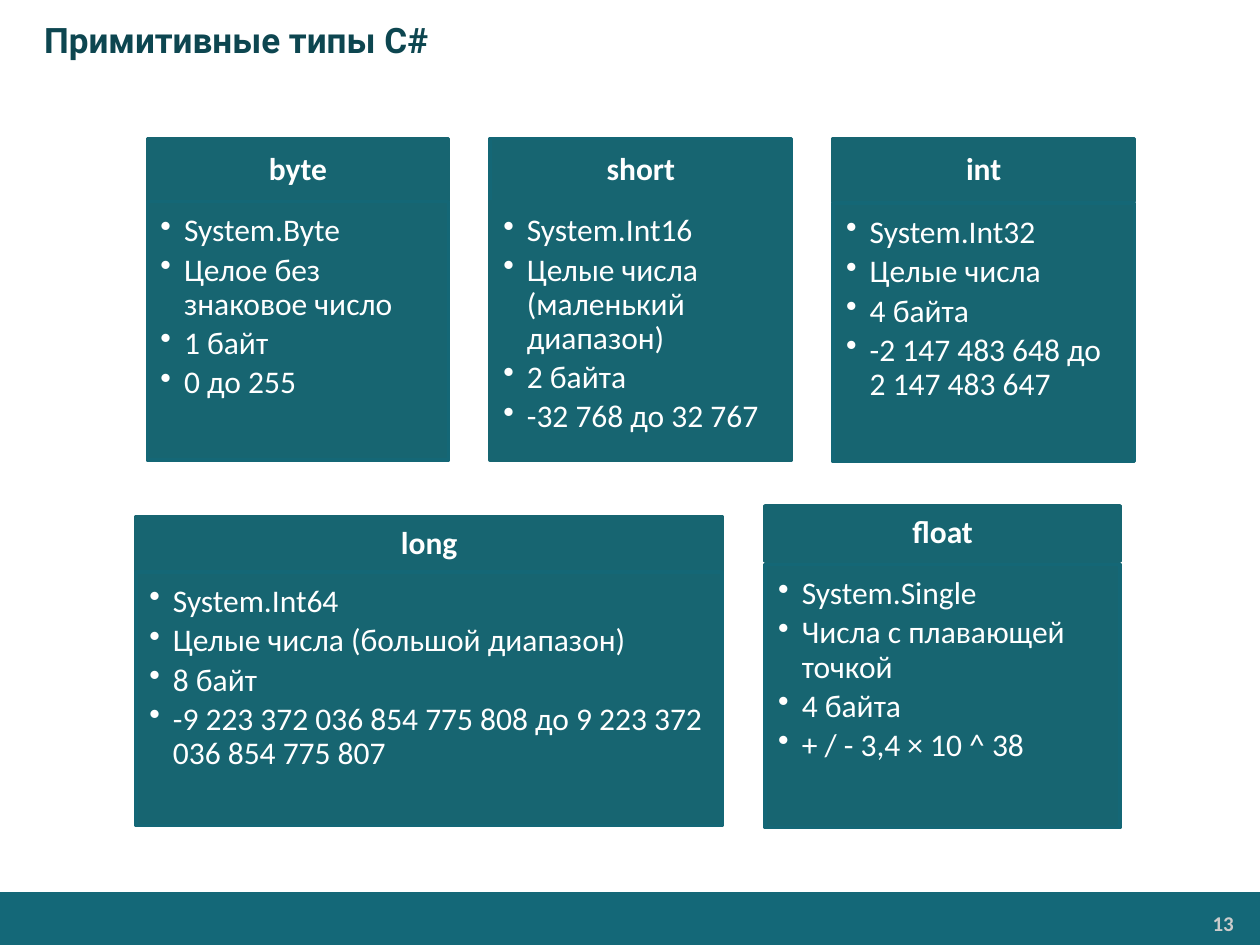
from lxml import etree
from pptx import Presentation
from pptx.dml.color import RGBColor
from pptx.enum.shapes import MSO_SHAPE
from pptx.enum.text import MSO_ANCHOR, PP_ALIGN
from pptx.oxml.ns import qn
from pptx.util import Pt

RECT = MSO_SHAPE.RECTANGLE
TOP, MIDDLE = MSO_ANCHOR.TOP, MSO_ANCHOR.MIDDLE
LEFT, CENTER, RIGHT = PP_ALIGN.LEFT, PP_ALIGN.CENTER, PP_ALIGN.RIGHT

WHITE = RGBColor(0xFF, 0xFF, 0xFF)
GREY = RGBColor(0xCC, 0xCC, 0xCC)
INK = RGBColor(0x0D, 0x46, 0x50)
TEAL = RGBColor(0x17, 0x65, 0x71)
EDGE = RGBColor(0x14, 0x67, 0x76)
BAR = RGBColor(0x14, 0x68, 0x78)

TITLE = "Примитивные типы C#"
NUMBER = "13"
TYPES = [
    ("byte", ["System.Byte", "Целое без знаковое число", "1 байт", "0 до 255"]),
    ("short", ["System.Int16", "Целые числа (маленький диапазон)",
               "2 байта", "-32 768 до 32 767"]),
    ("int", ["System.Int32", "Целые числа", "4 байта",
             "-2 147 483 648 до 2 147 483 647"]),
    ("long", ["System.Int64", "Целые числа (большой диапазон)", "8 байт",
              "-9 223 372 036 854 775 808 до 9 223 372 036 854 775 807"]),
    ("float", ["System.Single", "Числа с плавающей точкой", "4 байта",
               "+ / - 3,4 × 10 ^ 38"]),
]

COL, STEP = 84.2, 195.9
# left, top, width, head height, gap, body height
SPOTS = [(COL + i * STEP, 79.2, 172.2, 36, gap, 147.8)
         for i, gap in enumerate((0, 0, 0.9))]
SPOTS += [(77.8, 295.2, 334.8, 31.8, 0, 144.8),
          (437.2, 289, 203, 31.8, 1.7, 150.4)]
EDGES = [(TEAL, EDGE), (EDGE, TEAL)] + [(TEAL, EDGE)] * 3

HEAD = {"size": Pt(18), "name": "Calibri", "bold": True}
BODY = {"size": Pt(18), "name": "Calibri", "bold": False}
NAME = {"size": Pt(20), "name": "Roboto", "bold": True}
PAGE = {"size": Pt(12), "name": "Calibri", "bold": True}


def style(thing, values):
    for key, value in values.items():
        setattr(thing, key, value)


def box(shapes, area, fill, line=None):
    shape = shapes.add_shape(RECT, *map(Pt, area))
    shape.shadow.inherit = False
    shape.fill.solid()
    shape.fill.fore_color.rgb = fill
    if line is None:
        shape.line.fill.background()
    else:
        shape.line.color.rgb = line
        shape.line.width = Pt(2)
    return shape


def bullet(para):
    props = para._p.get_or_add_pPr()
    props.set("marL", str(Pt(13.5)))
    props.set("indent", str(-Pt(13.5)))
    etree.SubElement(props, qn("a:buChar")).set("char", "•")


def write(shape, lines, font, color, inset, anchor, para, dots=False):
    frame = shape.text_frame
    sides = ("left", "top", "right", "bottom")
    style(frame, {"margin_" + s: Pt(v) for s, v in zip(sides, inset)})
    style(frame, {"word_wrap": True, "vertical_anchor": anchor})
    for i, line in enumerate(lines):
        item = frame.add_paragraph() if i else frame.paragraphs[0]
        style(item, para)
        if dots:
            bullet(item)
        run = item.add_run()
        run.text = line
        style(run.font, font)
        run.font.color.rgb = color


def card(shapes, kind, spot, edges):
    name, facts = kind
    left, top, width, head, gap, body = spot
    upper = box(shapes, (left, top, width, head), TEAL, edges[0])
    write(upper, [name], HEAD, WHITE, (10, 5.7, 10, 5.7), MIDDLE,
          {"alignment": CENTER, "line_spacing": 0.9})
    lower = box(shapes, (left, top + head + gap, width, body), TEAL, edges[1])
    write(lower, facts, BODY, WHITE, (7.5, 7.5, 10, 11.4), TOP,
          {"alignment": LEFT, "line_spacing": 0.9, "space_after": Pt(3),
           "level": 1}, dots=True)


def main():
    deck = Presentation()
    deck.slide_width, deck.slide_height = Pt(720), Pt(540)
    shapes = deck.slides.add_slide(deck.slide_layouts[6]).shapes
    box(shapes, (0, 509.8, 720, 30.2), BAR)
    page = shapes.add_textbox(Pt(592.6), Pt(517.7), Pt(117.4), Pt(20.2))
    write(page, [NUMBER], PAGE, GREY, (5, 2.9, 5, 2.9), TOP,
          {"alignment": RIGHT})
    for kind, spot, edges in zip(TYPES, SPOTS, EDGES):
        card(shapes, kind, spot, edges)
    title = shapes.add_textbox(0, 0, Pt(720), Pt(45.4))
    write(title, [TITLE], NAME, INK, (25.2, 3.6, 7.2, 3.6), MIDDLE,
          {"alignment": LEFT})
    deck.save("out.pptx")


if __name__ == "__main__":
    main()
